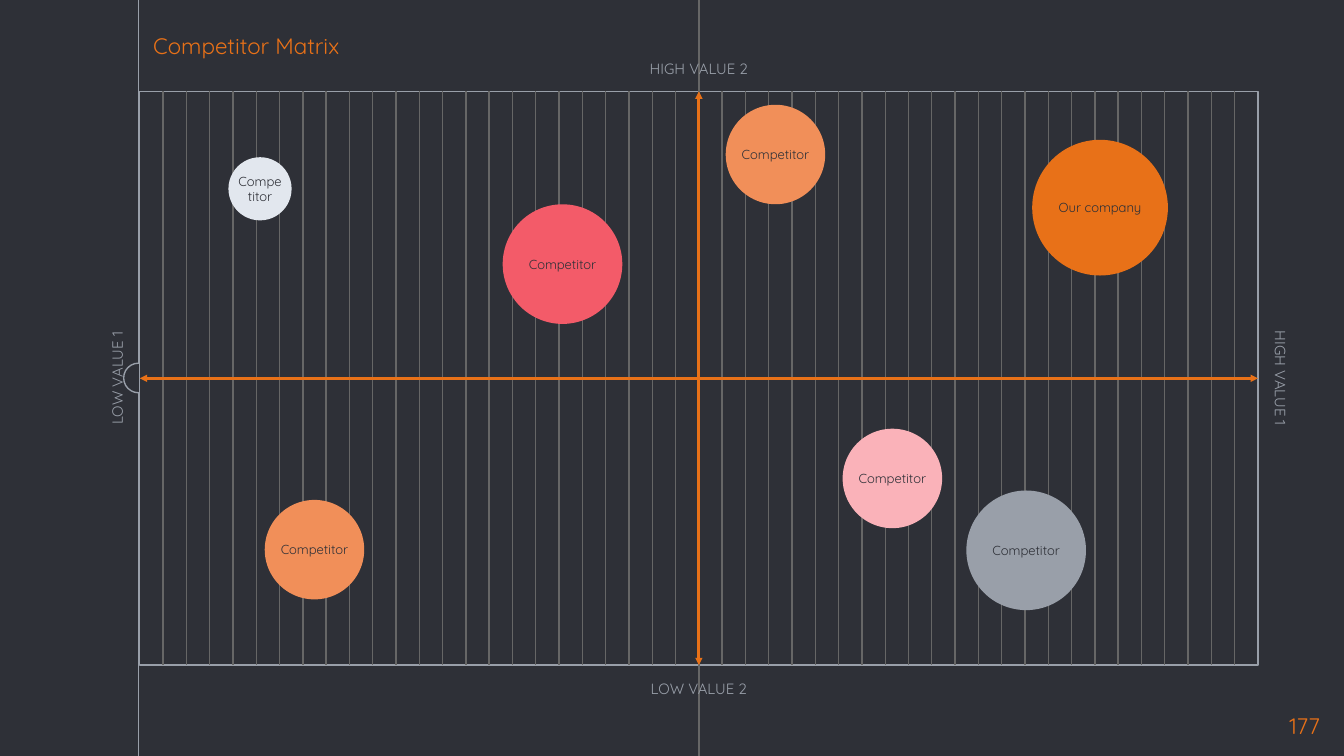
from pptx import Presentation
from pptx.dml.color import RGBColor
from pptx.enum.shapes import MSO_CONNECTOR, MSO_SHAPE
from pptx.enum.text import MSO_ANCHOR, MSO_AUTO_SIZE, PP_ALIGN
from pptx.oxml.ns import qn
from pptx.util import Inches, Pt
from lxml.etree import SubElement

SLIDE_W = 10
SLIDE_H = SLIDE_W * 9 / 16
FONT = "Quicksand"
DARK = RGBColor(0x2E, 0x30, 0x37)
GRAY = RGBColor(0x99, 0x9F, 0xA9)
GRID = RGBColor(0x66, 0x66, 0x66)
ORANGE = RGBColor(0xE8, 0x71, 0x18)
LIGHT_ORANGE = RGBColor(0xF1, 0x8F, 0x59)
RED = RGBColor(0xF3, 0x5B, 0x69)
PINK = RGBColor(0xFA, 0xB2, 0xB9)
PALE = RGBColor(0xE2, 0xE7, 0xEE)

PLOT_BOX = (1.04, 0.68, 8.32, 4.27)
GRID_COLUMNS = 48

# name, left and top within the plot, diameter, colour
COMPANIES = [
    ("Our company", 6.64, 0.36, 1.01, ORANGE),
    ("Competitor", 2.7, 0.84, 0.89, RED),
    ("Competitor", 0.93, 3.04, 0.74, LIGHT_ORANGE),
    ("Competitor", 5.23, 2.51, 0.74, PINK),
    ("Competitor", 6.15, 2.97, 0.89, GRAY),
    ("Competitor", 4.36, 0.1, 0.74, LIGHT_ORANGE),
    ("Competitor", 0.66, 0.49, 0.47, PALE),
]


def write_text(frame, text, size=8, color=GRAY, align=PP_ALIGN.CENTER,
               anchor=MSO_ANCHOR.MIDDLE, inset=0):
    frame.word_wrap = True
    frame.auto_size = MSO_AUTO_SIZE.NONE
    frame.vertical_anchor = anchor
    frame.margin_left = frame.margin_right = Inches(inset)
    frame.margin_top = frame.margin_bottom = Inches(inset)
    paragraph = frame.paragraphs[0]
    paragraph.alignment = align
    run = paragraph.add_run()
    run.text = text
    run.font.name = FONT
    run.font.size = Pt(size)
    run.font.color.rgb = color


def add_line(shapes, x1, y1, x2, y2, color, width=0.75, arrows=False):
    line = shapes.add_connector(
        MSO_CONNECTOR.STRAIGHT, Inches(x1), Inches(y1), Inches(x2), Inches(y2))
    line.line.color.rgb = color
    line.line.width = Pt(width)
    if arrows:
        outline = line.line._get_or_add_ln()
        for end in ("a:headEnd", "a:tailEnd"):
            SubElement(outline, qn(end), type="triangle", w="sm", len="sm")
    SubElement(line._element.spPr, qn("a:effectLst"))
    return line


def add_filled(slide, kind, box, fill, outline=None):
    shape = slide.shapes.add_shape(kind, *map(Inches, box))
    shape.shadow.inherit = False
    shape.fill.solid()
    shape.fill.fore_color.rgb = fill
    if outline is None:
        shape.line.fill.background()
    else:
        shape.line.color.rgb = outline
        shape.line.width = Pt(0.75)
    return shape


def add_label(slide, text, box, rotation=0, **text_format):
    label = slide.shapes.add_textbox(*map(Inches, box))
    label.rotation = rotation
    write_text(label.text_frame, text, **text_format)


def add_title(slide, text, box):
    title = slide.shapes.title
    title.left, title.top, title.width, title.height = map(Inches, box)
    write_text(title.text_frame, text, size=12, color=ORANGE,
               align=PP_ALIGN.LEFT, inset=0.1)


def add_spine(slide, x):
    """Draw the full-height line at the left and its round notch."""
    notch = 0.22
    add_line(slide.shapes, x, 0, x, SLIDE_H, GRAY)
    add_filled(slide, MSO_SHAPE.OVAL,
               (x - notch / 2, (SLIDE_H - notch) / 2, notch, notch), DARK, GRAY)


def add_plot(slide, box):
    """Draw the ruled plot area with its two arrowed axes."""
    left, top, width, height = box
    plot = add_filled(slide, MSO_SHAPE.RECTANGLE, box, DARK, GRAY)
    grid_lines = slide.shapes.add_group_shape().shapes
    middle_column = GRID_COLUMNS // 2
    for column in range(1, GRID_COLUMNS):
        if column != middle_column:
            x = left + width * column / GRID_COLUMNS
            add_line(grid_lines, x, top, x, top + height, GRID)
    center_x, center_y = left + width / 2, top + height / 2
    add_line(slide.shapes, center_x, 0, center_x, SLIDE_H, GRID)

    vertical = add_line(slide.shapes, center_x, top, center_x, top + height,
                        ORANGE, 1.5, arrows=True)
    vertical.begin_connect(plot, 0)
    vertical.end_connect(plot, 2)
    horizontal = add_line(slide.shapes, left, center_y, left + width, center_y,
                          ORANGE, 1.5, arrows=True)
    horizontal.begin_connect(plot, 1)
    horizontal.end_connect(plot, 3)


def add_axis_labels(slide, box):
    left, top, width, height = box
    label_w, label_h, gap = 1.3, 0.17, 0.17
    center_x, center_y = left + width / 2, top + height / 2
    for text, x, y, rotation in [
        ("LOW VALUE 1", left - gap, center_y, 270),
        ("HIGH VALUE 1", left + width + gap, center_y, 90),
        ("LOW VALUE 2", center_x, top + height + gap, 0),
        ("HIGH VALUE 2", center_x, top - gap, 0),
    ]:
        add_label(slide, text, (x - label_w / 2, y - label_h / 2, label_w, label_h),
                  rotation)


def add_companies(slide, box):
    left, top = box[:2]
    for name, x, y, diameter, color in COMPANIES:
        bubble = add_filled(slide, MSO_SHAPE.OVAL,
                            (left + x, top + y, diameter, diameter), color)
        write_text(bubble.text_frame, name, size=7, color=DARK)


def main():
    deck = Presentation()
    deck.slide_width, deck.slide_height = Inches(SLIDE_W), Inches(SLIDE_H)
    slide = deck.slides.add_slide(deck.slide_layouts[5])
    slide.background.fill.solid()
    slide.background.fill.fore_color.rgb = DARK

    add_spine(slide, 1.03)
    add_title(slide, "Competitor Matrix", (1.04, 0, 8.45, 0.68))
    add_plot(slide, PLOT_BOX)
    add_label(slide, "177", (9.32, 5.2, 0.6, 0.34), size=12, color=ORANGE,
              align=PP_ALIGN.RIGHT, anchor=MSO_ANCHOR.TOP, inset=0.1)
    add_axis_labels(slide, PLOT_BOX)
    add_companies(slide, PLOT_BOX)
    deck.save("out.pptx")


if __name__ == "__main__":
    main()
